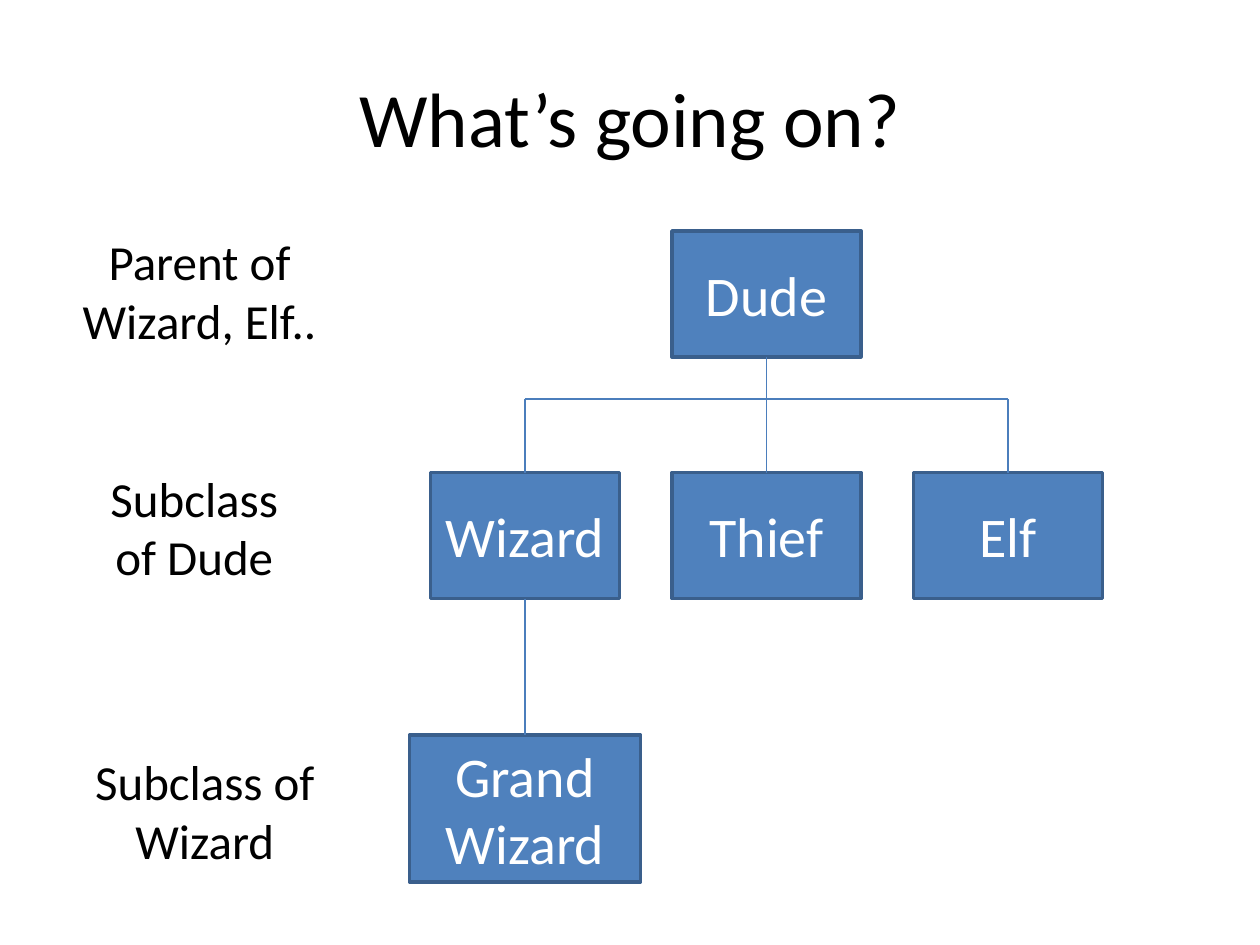
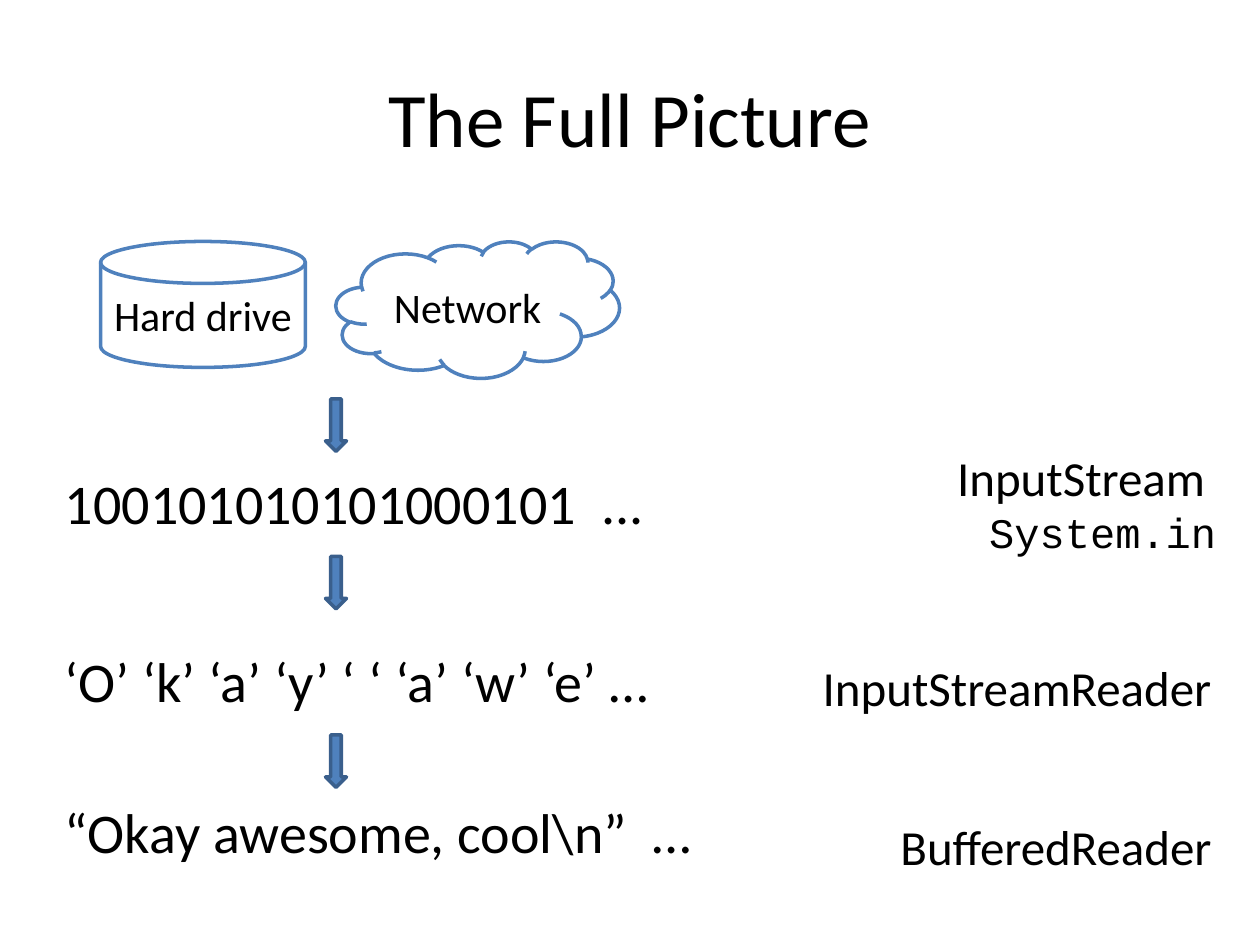
from dataclasses import dataclass

from lxml import etree
from pptx import Presentation
from pptx.dml.color import RGBColor
from pptx.enum.shapes import MSO_CONNECTOR, MSO_SHAPE
from pptx.enum.text import MSO_ANCHOR, MSO_AUTO_SIZE, PP_ALIGN
from pptx.oxml.ns import qn
from pptx.util import Pt

RECT, DISK = MSO_SHAPE.RECTANGLE, MSO_SHAPE.FLOWCHART_MAGNETIC_DISK
CLOUD, DOWN = MSO_SHAPE.CLOUD, MSO_SHAPE.DOWN_ARROW
STRAIGHT = MSO_CONNECTOR.STRAIGHT
TOP, MIDDLE = MSO_ANCHOR.TOP, MSO_ANCHOR.MIDDLE
FIXED, GROW = MSO_AUTO_SIZE.NONE, MSO_AUTO_SIZE.SHAPE_TO_FIT_TEXT
LEFT, CENTER, RIGHT = PP_ALIGN.LEFT, PP_ALIGN.CENTER, PP_ALIGN.RIGHT


@dataclass(frozen=True)
class Theme:
    ink: str = "000000"
    paper: str = "FFFFFF"
    blue: str = "4F81BD"
    edge: str = "3A5F8C"
    link: str = "4B7EBC"
    font: str = "Calibri"
    mono: str = "Courier New"
    title: int = 44
    large: int = 32
    label: int = 28
    small: int = 24
    border: float = 2
    thin: float = 0.75


class Deck:
    def __init__(self, theme):
        self.theme = theme
        self.file = Presentation()
        self.file.slide_width, self.file.slide_height = Pt(720), Pt(540)
        self.slide = None

    def page(self, title):
        self.slide = self.file.slides.add_slide(self.file.slide_layouts[6])
        self.text((36, 21.6, 648, 90), [(title, self.theme.title)],
                  vertical_anchor=MIDDLE, auto_size=FIXED)

    def fill_in(self, shape, lines, color, align, **form):
        """Each line is (text, size) or (text, size, font)."""
        frame = shape.text_frame
        for key, value in form.items():
            setattr(frame, key, value)
        for i, (words, size, *font) in enumerate(lines):
            para = frame.add_paragraph() if i else frame.paragraphs[0]
            para.alignment = align
            run = para.add_run()
            run.text = words
            style = {"size": Pt(size), "name": font[0] if font else self.theme.font}
            for key, value in style.items():
                setattr(run.font, key, value)
            run.font.color.rgb = RGBColor.from_string(color)

    def text(self, area, lines, align=CENTER, **form):
        box = self.slide.shapes.add_textbox(*map(Pt, area))
        base = {"word_wrap": True, "vertical_anchor": TOP, "auto_size": GROW}
        self.fill_in(box, lines, self.theme.ink, align, **{**base, **form})

    def shape(self, kind, area, fill, edge, lines=(), color=None):
        item = self.slide.shapes.add_shape(kind, *map(Pt, area))
        item.shadow.inherit = False
        item.fill.solid()
        item.fill.fore_color.rgb = RGBColor.from_string(fill)
        item.line.color.rgb = RGBColor.from_string(edge)
        item.line.width = Pt(self.theme.border)
        if lines:
            self.fill_in(item, lines, color, CENTER, word_wrap=True,
                         vertical_anchor=MIDDLE)

    def solid(self, kind, area, *lines):
        t = self.theme
        self.shape(kind, area, t.blue, t.edge, lines, t.paper)

    def hollow(self, kind, area, *lines):
        t = self.theme
        self.shape(kind, area, t.paper, t.blue, lines, t.ink)

    def line(self, *ends):
        item = self.slide.shapes.add_connector(STRAIGHT, *map(Pt, ends))
        item.line.color.rgb = RGBColor.from_string(self.theme.link)
        item.line.width = Pt(self.theme.thin)
        etree.SubElement(item._element.spPr, qn("a:effectLst"))


theme = Theme()
deck = Deck(theme)

# Slide 1: class tree
deck.page("What’s going on?")
wide, high, step = 108, 72, 138
first, root, row, leaf, bar = 246, 132, 270, 420, 228
lefts = [first + step * i for i in range(3)]
mids = [left + wide / 2 for left in lefts]

# Class boxes
deck.solid(RECT, (lefts[1], root, wide, high), ("Dude", theme.large))
for left, name in zip(lefts, ("Wizard", "Thief", "Elf")):
    deck.solid(RECT, (left, row, wide, high), (name, theme.large))
deck.solid(RECT, (mids[0] - 66, leaf, 132, 84), ("Grand Wizard", theme.large))

# Links
deck.line(mids[1], root + high, mids[1], row)
for mid in (mids[0], mids[2]):
    deck.line(mid, row, mid, bar)
deck.line(mids[0], bar, mids[2], bar)
deck.line(mids[0], row + high, mids[0], leaf)

# Level labels
for left, top, width, words in (
    (42, 264, 138, "Subclass of Dude"),
    (42, 426, 150, "Subclass of Wizard"),
    (30, 129, 168, "Parent of Wizard, Elf.."),
):
    deck.text((left, top, width, 75), [(words, theme.label)])

# Slide 2: from bytes to lines
deck.page("The Full Picture")

# Sources
deck.hollow(DISK, (57.5, 138, 117, 72), ("Hard drive", theme.small))
deck.hollow(CLOUD, (192, 138, 162, 78), ("Network", theme.small))

# Data at each stage
for top, width, words in (
    (264, 356.5, "100101010101000101  ..."),
    (366, 352, "‘O’ ‘k’ ‘a’ ‘y’ ‘ ‘ ‘a’ ‘w’ ‘e’ …"),
    (452, 376, "“Okay awesome, cool\\n”  …"),
):
    deck.text((30, top, width, 46), [(words, theme.large)], LEFT, word_wrap=False)

# Reader classes, flush right
edge = 702
deck.text((edge - 222, 252, 222, 70.5),
          [("InputStream ", theme.label), ("System.in", theme.small, theme.mono)],
          RIGHT)
for top, width, words in ((372, 239, "InputStreamReader"),
                          (463, 194.5, "BufferedReader")):
    deck.text((edge - width, top, width, 41), [(words, theme.label)], LEFT,
              word_wrap=False)

# Arrows between stages
for top in (228, 318, 420):
    deck.solid(DOWN, (186, top, 12, 30))

deck.file.save("out.pptx")
